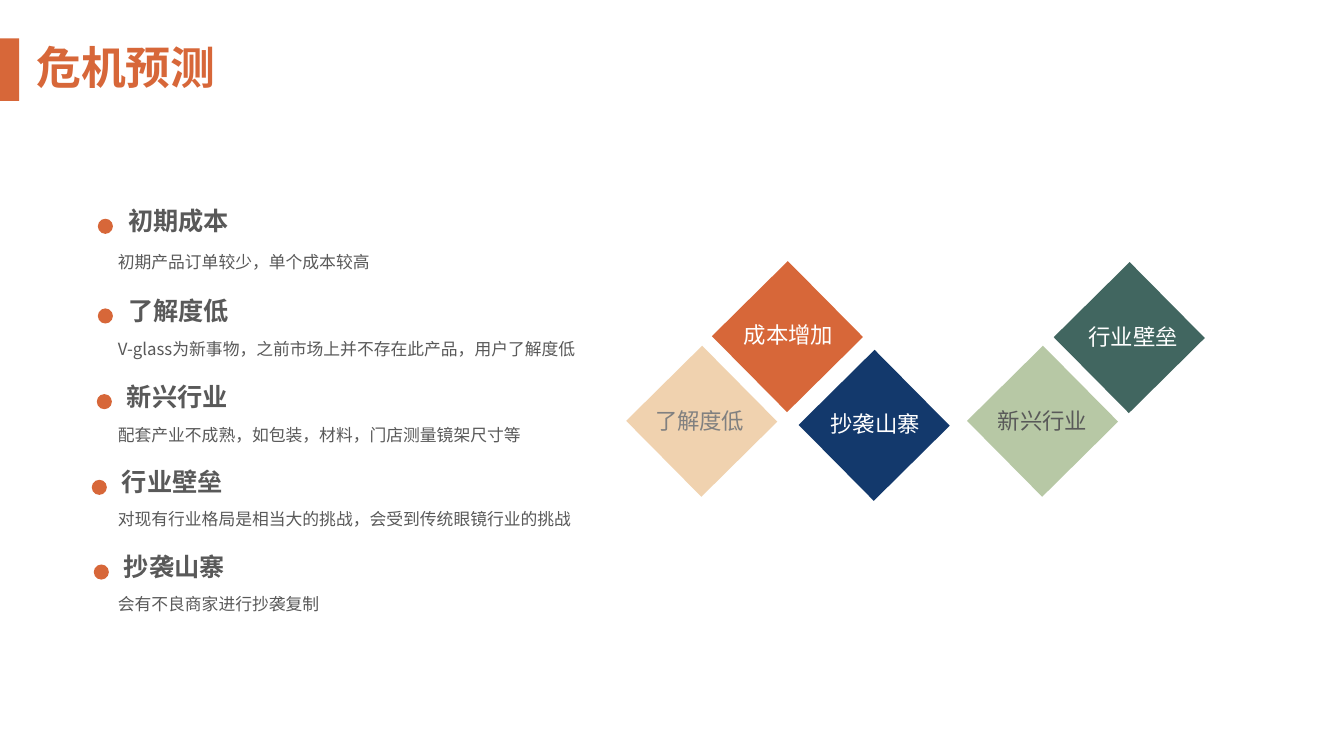
from lxml import etree
from pptx import Presentation
from pptx import util as u
from pptx.dml.color import RGBColor
from pptx.enum import shapes, text
from pptx.oxml import ns

ORANGE, GREY, WHITE = "D76739", "595959", "FFFFFF"
SHAPE = shapes.MSO_SHAPE
ALIGN = text.PP_ALIGN


def color(value):
    return RGBColor.from_string(value)


class SlideBuilder:
    font_name = "Noto Sans CJK SC"

    def __init__(self, slide):
        self.slide = slide

    def add_shape(self, kind, box, fill, rotation=0):
        shape = self.slide.shapes.add_shape(kind, *map(u.Inches, box))
        shape.shadow.inherit = False
        shape.fill.solid()
        shape.fill.fore_color.rgb = color(fill)
        shape.line.fill.background()
        shape.rotation = rotation
        return shape

    def add_text(self, words, box, size, fill, bold=False, indent=0, **paragraph_format):
        frame = self.slide.shapes.add_textbox(*map(u.Inches, box)).text_frame
        frame.word_wrap = True
        paragraph = frame.paragraphs[0]
        for name, value in paragraph_format.items():
            setattr(paragraph, name, value)
        if indent:
            properties = paragraph._p.get_or_add_pPr()
            properties.set("marL", str(u.Inches(indent)))
            properties.set("indent", "0")
        run = paragraph.add_run()
        run.text = words
        font_format = {"name": self.font_name, "size": u.Pt(size), "bold": bold}
        for name, value in font_format.items():
            setattr(run.font, name, value)
        run.font.color.rgb = color(fill)
        east_asian = etree.SubElement(run._r.get_or_add_rPr(), ns.qn("a:ea"))
        east_asian.set("typeface", self.font_name)

    def add_title(self, words):
        self.add_shape(SHAPE.RECTANGLE, (0, 0.38, 0.19, 0.62), ORANGE)
        self.add_text(words, (0.02, 0.34, 2.46, 0.64), 32, ORANGE, True, alignment=ALIGN.CENTER)

    def add_diamond(self, left, top, fill):
        self.add_shape(SHAPE.RECTANGLE, (left, top, 1.06, 1.06), fill, 45.3)

    def add_label(self, words, left, top, fill):
        self.add_text(words, (left, top, 1.7, 0.37), 16, fill, alignment=ALIGN.CENTER)

    def add_risk(self, heading, left, top, detail, detail_top):
        self.add_shape(SHAPE.OVAL, (left + 0.05, top + 0.18, 0.15, 0.15), ORANGE)
        self.add_text(heading, (left, top, 1.7, 0.4), 18, GREY, True, alignment=ALIGN.CENTER)
        self.add_text(detail, (0.85, detail_top, 5.38, 0.4), 12, GREY, indent=0.22, line_spacing=1.5)


def main():
    presentation = Presentation()
    presentation.slide_width = u.Inches(13.33)
    presentation.slide_height = u.Inches(7.5)
    builder = SlideBuilder(presentation.slides.add_slide(presentation.slide_layouts[6]))

    builder.add_title("危机预测")

    diamonds = [
        (7.28, 2.81, ORANGE, "成本增加", 6.97, 3.14, WHITE),
        (8.14, 3.69, "13396C", "抄袭山寨", 7.83, 4.02, WHITE),
        (6.43, 3.65, "F0D2AF", "了解度低", 6.09, 3.99, "808080"),
        (9.81, 3.65, "B7C8A5", "新兴行业", 9.49, 3.99, GREY),
        (10.67, 2.82, "416660", "行业壁垒", 10.39, 3.16, WHITE),
    ]
    for left, top, fill, *label in diamonds:
        builder.add_diamond(left, top, fill)
    for left, top, fill, *label in diamonds:
        builder.add_label(*label)

    risks = [
        ("初期成本", 0.92, 1.99, "初期产品订单较少，单个成本较高", 2.35),
        ("了解度低", 0.92, 2.88, "V-glass为新事物，之前市场上并不存在此产品，用户了解度低", 3.21),
        ("新兴行业", 0.91, 3.73, "配套产业不成熟，如包装，材料，门店测量镜架尺寸等", 4.06),
        ("行业壁垒", 0.86, 4.58, "对现有行业格局是相当大的挑战，会受到传统眼镜行业的挑战", 4.9),
        ("抄袭山寨", 0.88, 5.42, "会有不良商家进行抄袭复制", 5.74),
    ]
    for risk in risks:
        builder.add_risk(*risk)

    presentation.save("out.pptx")


if __name__ == "__main__":
    main()
